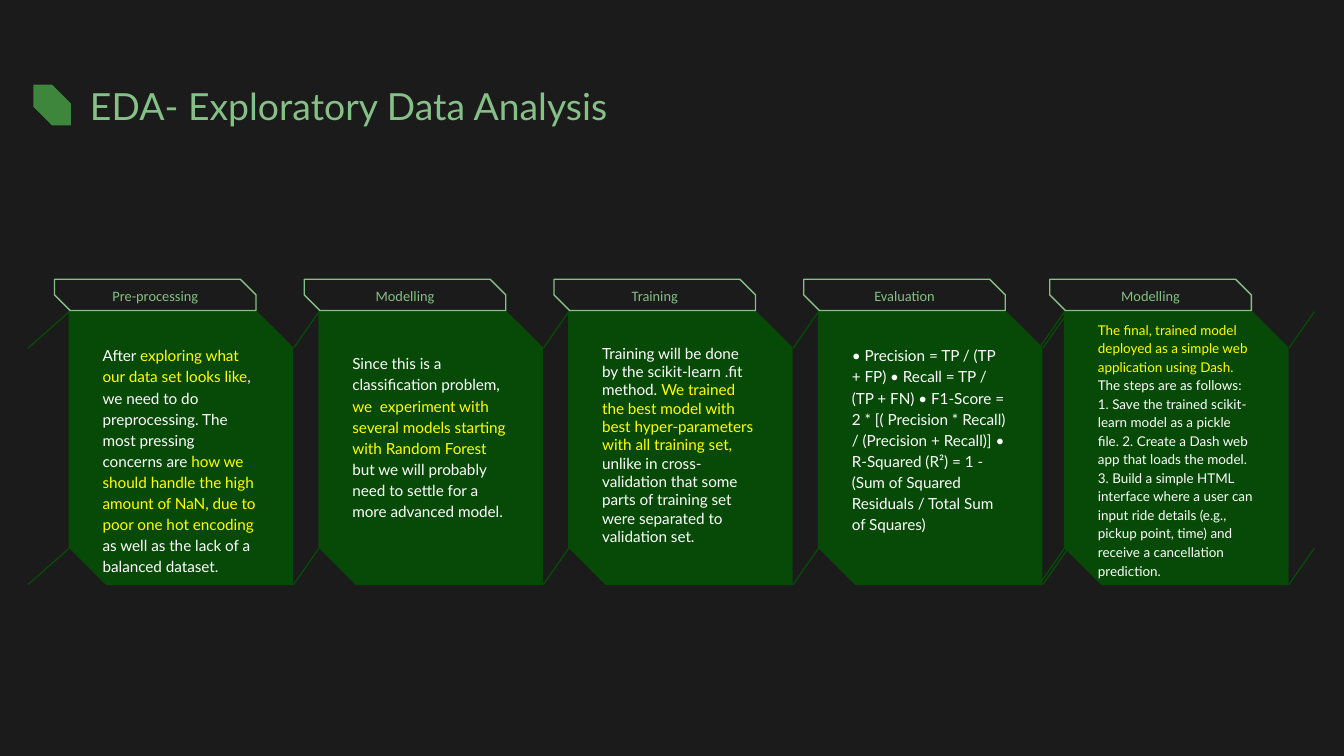
import pptx
import pptx.util
import pptx.dml.color
import pptx.enum.shapes
import pptx.enum.text
import pptx.oxml
from pptx.util import Cm

# Content: plain strings are white, ("...",) tuples are highlighted
TITLE = "EDA- Exploratory Data Analysis"
STEPS = [
    {"label": "Pre-processing", "top": 6.3, "height": 4.78, "body": [
        "After ", ("exploring what our data set looks like",),
        ", we need to do preprocessing. The most pressing concerns are ",
        ("how we should handle the high amount of NaN, due to poor one hot encoding",),
        " as well as the lack of a balanced dataset."]},
    {"label": "Modelling", "top": 6.45, "height": 3.56, "body": [
        "Since this is a classification problem, ",
        ("we  experiment with several models starting with Random Forest ",),
        "but we will probably need to settle for a more advanced model."]},
    {"label": "Training", "top": 6.3, "height": 4.78, "spacing": 1.0, "body": [
        "Training will be done by the scikit-learn .fit method. ",
        ("We trained the best model with best hyper-parameters with all training set, ",),
        "unlike in cross-validation that some parts of training set were separated "
        "to validation set."]},
    {"label": "Evaluation", "top": 6.3, "height": 3.96, "body": [
        "• Precision = TP / (TP + FP) • Recall = TP / (TP + FN) • F1-Score = 2 * "
        "[( Precision * Recall) / (Precision + Recall)] • R-Squared (R²) = 1 - "
        "(Sum of Squared Residuals / Total Sum of Squares)"]},
    {"label": "Modelling", "top": 5.84, "height": 5.28, "size": 7.2, "body": [
        ("The final, trained model deployed as a simple web application using Dash.",),
        " The steps are as follows: 1. Save the trained scikit-learn model as a pickle "
        "file. 2. Create a Dash web app that loads the model. 3. Build a simple HTML "
        "interface where a user can input ride details (e.g., pickup point, time) and "
        "receive a cancellation prediction."]},
]

THEME = {
    "back": "1B1B1B", "mark": "3E863C", "card": "074907", "accent": "85C086",
    "text": "FFFFFF", "highlight": "FFFF00",
    "font": "Lato", "label_font": "Calibri",
    "title_size": 20, "label_size": 7.7, "body_size": 8.2, "line": 0.75,
}

# Layout in centimetres
LEFT, PITCH = 1.31, 4.72
CARD_TOP, CARD_W, CARD_H = 5.87, 4.22, 5.18
TAB_SHIFT, TAB_TOP, TAB_W, TAB_H = -0.28, 5.28, 3.81, 0.59
BODY_SHIFT, BODY_W, INSET = 0.43, 3.35, 0.2
FOLD_TOPS, FOLD_W, FOLD_H = (5.89, 10.36), 0.48, 0.69
LAST_LEFT = 20.12  # the last card sits slightly closer to its neighbour

ANCHOR = pptx.enum.text.MSO_ANCHOR
ALIGN = pptx.enum.text.PP_ALIGN


def rgb(name):
    return pptx.dml.color.RGBColor.from_string(THEME[name])


def write(tf, text, size, font="font", color="text", align=ALIGN.LEFT,
          anchor=ANCHOR.TOP, spacing=1.15, insets=(INSET,) * 4):
    """Fill a text frame; text is a string or a list of runs."""
    tf.word_wrap = True
    tf.auto_size = pptx.enum.text.MSO_AUTO_SIZE.NONE
    tf.vertical_anchor = anchor
    tf.margin_left, tf.margin_top, tf.margin_right, tf.margin_bottom = map(Cm, insets)
    p = tf.paragraphs[0]
    p.alignment, p.line_spacing = align, spacing
    for part in [text] if isinstance(text, str) else text:
        marked = isinstance(part, tuple)
        r = p.add_run()
        r.text = part[0] if marked else part
        r.font.size = pptx.util.Pt(size)
        r.font.name = THEME[font]
        r.font.color.rgb = rgb("highlight" if marked else color)


def add_snip(s, x, y, w, h, snip, fill, line=None):
    sp = s.shapes.add_shape(pptx.enum.shapes.MSO_SHAPE.SNIP_2_DIAG_RECTANGLE,
                            Cm(x), Cm(y), Cm(w), Cm(h))
    sp.adjustments[0], sp.adjustments[1] = 0, snip
    sp.shadow.inherit = False
    sp.fill.solid()
    sp.fill.fore_color.rgb = rgb(fill)
    if line:
        sp.line.color.rgb = rgb(line)
        sp.line.width = pptx.util.Pt(THEME["line"])
    else:
        sp.line.fill.background()
    return sp


def add_fold(s, x, y, width):
    c = s.shapes.add_connector(pptx.enum.shapes.MSO_CONNECTOR.STRAIGHT,
                               Cm(x), Cm(y), Cm(x - width), Cm(y + FOLD_H))
    c.line.color.rgb = rgb("card")
    c.line.width = pptx.util.Pt(THEME["line"])
    c._element.spPr.append(pptx.oxml.parse_xml(
        '<a:effectLst xmlns:a="http://schemas.openxmlformats.org/drawingml/2006/main"/>'))


def main():
    prs = pptx.Presentation()
    prs.slide_width, prs.slide_height = Cm(25.4), Cm(14.29)
    s = prs.slides.add_slide(prs.slide_layouts.get_by_name("Title Only"))
    s.background.fill.solid()
    s.background.fill.fore_color.rgb = rgb("back")

    # Title with its marker
    add_snip(s, 0.63, 1.6, 0.71, 0.77, 0.5, "mark")
    title = s.shapes.title
    title.left, title.top, title.width, title.height = map(Cm, (1.7, 1.42, 11.15, 1.27))
    write(title.text_frame, TITLE, THEME["title_size"], color="accent",
          spacing=0.9, insets=(0, 0.25, 0.25, 0.25))

    # Fold lines between the cards
    grid = [LEFT + i * PITCH for i in range(len(STEPS))]
    for x in grid + [LAST_LEFT, LAST_LEFT + PITCH]:
        for y in FOLD_TOPS:
            add_fold(s, x, y, 0.78 if x == LEFT else FOLD_W)

    # Cards, tabs and their text
    for x, step in zip(grid[:-1] + [LAST_LEFT], STEPS):
        add_snip(s, x, CARD_TOP, CARD_W, CARD_H, 0.167, "card", "card")
        tab = add_snip(s, x + TAB_SHIFT, TAB_TOP, TAB_W, TAB_H, 0.5, "back", "accent")
        write(tab.text_frame, step["label"], THEME["label_size"], font="label_font",
              color="accent", align=ALIGN.CENTER, anchor=ANCHOR.MIDDLE,
              insets=(INSET, 0, INSET, 0))
        box = s.shapes.add_textbox(Cm(x + BODY_SHIFT), Cm(step["top"]),
                                   Cm(BODY_W), Cm(step["height"]))
        write(box.text_frame, step["body"], step.get("size", THEME["body_size"]),
              spacing=step.get("spacing", 1.15))

    prs.save("out.pptx")


if __name__ == "__main__":
    main()
